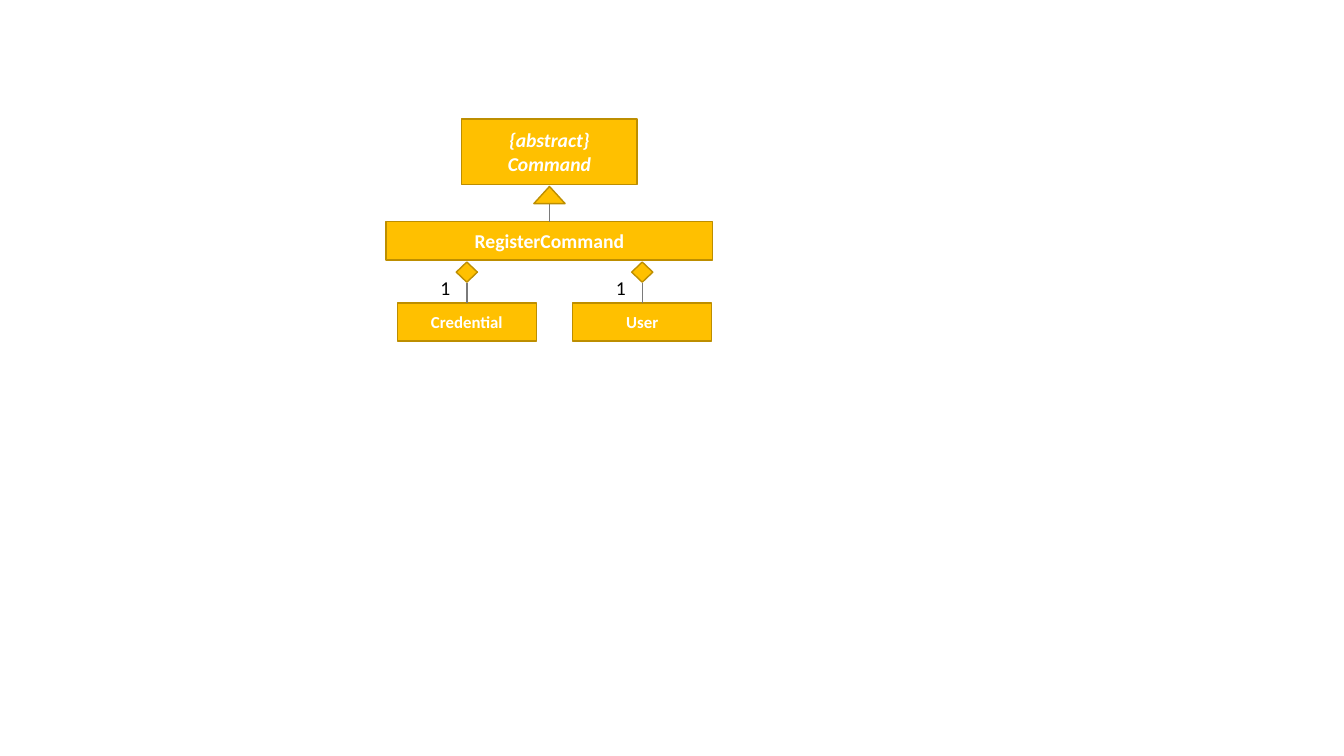
from pptx import Presentation
from pptx.dml.color import RGBColor
from pptx.enum.shapes import MSO_CONNECTOR, MSO_SHAPE
from pptx.enum.text import MSO_ANCHOR, MSO_AUTO_SIZE, PP_ALIGN
from pptx.oxml.ns import qn
from pptx.util import Inches, Pt
from lxml import etree

AMBER = RGBColor(0xFF, 0xC0, 0x00)
AMBER_EDGE = RGBColor(0xBD, 0x8E, 0x00)
GRAY = RGBColor(0x7A, 0x7A, 0x7A)
WHITE = RGBColor(0xFF, 0xFF, 0xFF)
BLACK = RGBColor(0, 0, 0)
CELL = 0.1  # side of a grid cell in inches


def grid(*cells):
    return [Inches(c * CELL) for c in cells]


def write(tf, lines, size, color, align=PP_ALIGN.LEFT, **style):
    for i, line in enumerate(lines):
        p = tf.paragraphs[0] if i == 0 else tf.add_paragraph()
        p.alignment = align
        r = p.add_run()
        r.text = line
        r.font.color.rgb = color
        for key, value in {"name": "Calibri", "size": Pt(size), **style}.items():
            setattr(r.font, key, value)


def add_symbol(s, kind, x, y, w, h):
    sp = s.shapes.add_shape(kind, *grid(x, y, w, h))
    sp.shadow.inherit = False
    sp.fill.solid()
    sp.fill.fore_color.rgb = AMBER
    sp.line.color.rgb = AMBER_EDGE
    sp.line.width = Pt(1)
    return sp


def add_class(s, box, lines, size, **style):
    tf = add_symbol(s, MSO_SHAPE.RECTANGLE, *box).text_frame
    tf.word_wrap = True
    tf.vertical_anchor = MSO_ANCHOR.MIDDLE
    write(tf, lines, size, WHITE, PP_ALIGN.CENTER, bold=True, **style)


def add_link(s, x, top, bottom):
    sp = s.shapes.add_connector(MSO_CONNECTOR.STRAIGHT, *grid(x, top, x, bottom))
    sp.line.color.rgb = GRAY
    sp.line.width = Pt(1)
    etree.SubElement(sp._element.spPr, qn("a:effectLst"))


def add_part(s, box, name):
    """A class owned by the one above: diamond, link, multiplicity and box."""
    x, y, w, h = box
    mid = x + w / 2
    add_class(s, box, [name], 12)
    add_link(s, mid, y - 2, y)
    add_symbol(s, MSO_SHAPE.DIAMOND, mid - 1.05, y - 4.05, 2.1, 2)
    tf = s.shapes.add_textbox(*grid(mid - 3.6, y - 3.2, 3, 3.4)).text_frame
    tf.word_wrap = False
    tf.auto_size = MSO_AUTO_SIZE.SHAPE_TO_FIT_TEXT
    write(tf, ["1"], 14, BLACK)


def class_diagram(s, x, y, w, h):
    mid, row = x + w / 2, 3.8
    command_top = y + 10.2

    # Command class and its owned parts
    add_class(s, (x, command_top, w, row), ["RegisterCommand"], 14)
    for i, name in enumerate(["Credential", "User"]):
        add_part(s, (x + 1.1 + 17.4 * i, y + h - row, 13.8, row), name)

    # Inheritance from the abstract class
    add_link(s, mid, y + 6.7, command_top)
    add_symbol(s, MSO_SHAPE.ISOSCELES_TRIANGLE, mid - 1.55, y + 6.7, 3.1, 1.7)
    add_class(s, (mid - 8.7, y, 17.4, 6.5), ["{abstract}", "Command"], 14, italic=True)


prs = Presentation()
prs.slide_width, prs.slide_height = Inches(13.33), Inches(7.5)
s = prs.slides.add_slide(prs.slide_layouts[6])
class_diagram(s, 38.3, 11.8, 32.4, 22.05)
prs.save("out.pptx")
